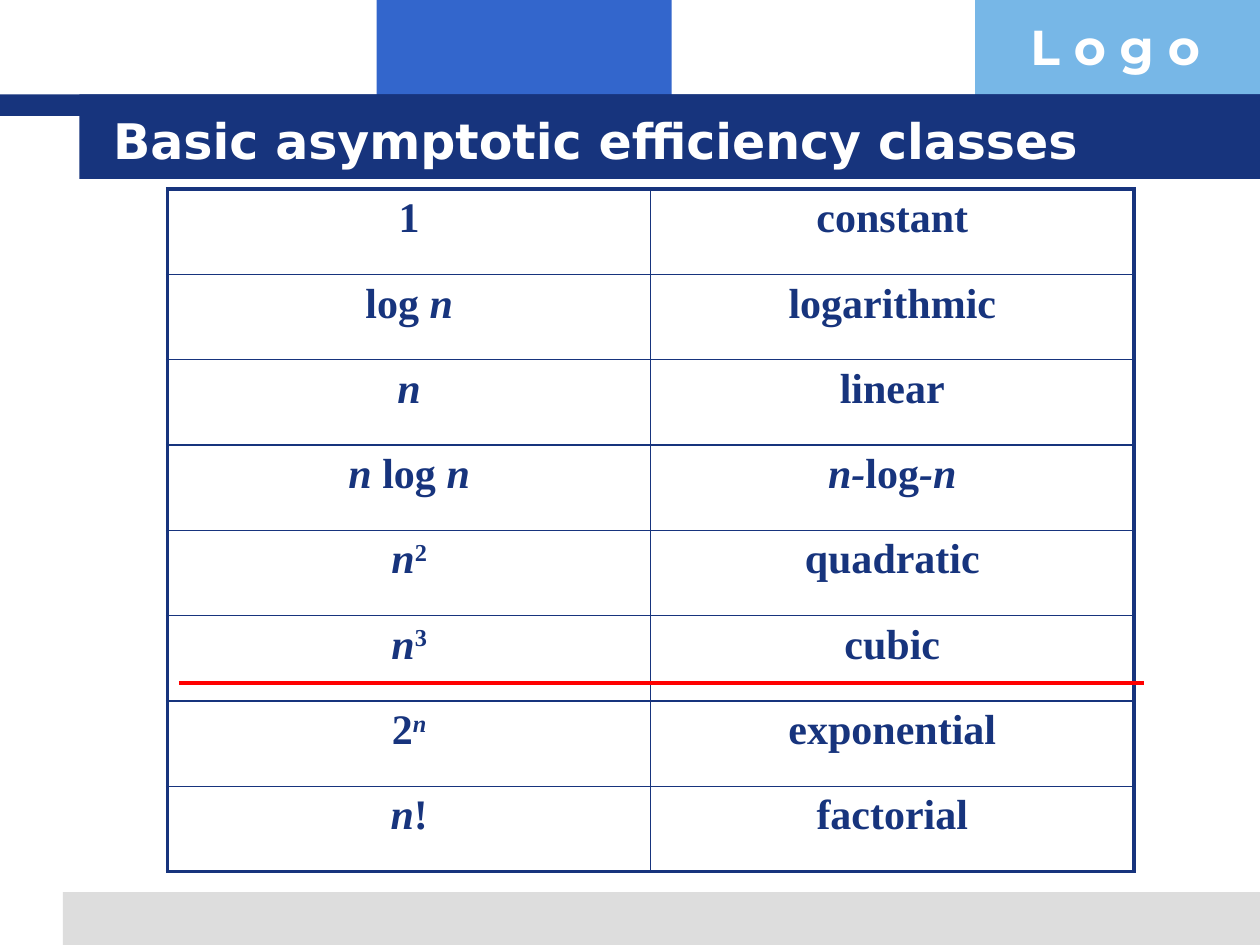
from lxml import etree
from pptx import Presentation
from pptx import util as u
from pptx.dml.color import RGBColor
from pptx.enum import shapes, text
from pptx.oxml.ns import qn

NAVY, BLUE, SKY = "17347D", "3366CC", "77B7E7"
GRAY, WHITE, RED = "DDDDDD", "FFFFFF", "FF0000"
THIN, THICK = 1, 2.25

CLASSES = [
    ([("1", "")], [("constant", "")]),
    ([("log ", ""), ("n", "italic")], [("logarithmic", "")]),
    ([("n", "italic")], [("linear", "")]),
    ([("n ", "italic"), ("log ", ""), ("n", "italic")],
     [("n-", "italic"), ("log", ""), ("-n", "italic")]),
    ([("n", "italic"), ("2", "super")], [("quadratic", "")]),
    ([("n", "italic"), ("3", "super")], [("cubic", "")]),
    ([("2", ""), ("n", "italic super")], [("exponential", "")]),
    ([("n", "italic"), ("!", "")], [("factorial", "")]),
]


def rgb(value):
    return RGBColor.from_string(value)


def style_font(font, name, size, color):
    font.name = name
    font.size = u.Pt(size)
    font.bold = True
    font.color.rgb = rgb(color)


def add_block(slide, box, color):
    shape = slide.shapes.add_shape(
        shapes.MSO_SHAPE.RECTANGLE, *map(u.Inches, box))
    shape.shadow.inherit = False
    shape.fill.solid()
    shape.fill.fore_color.rgb = rgb(color)
    shape.line.fill.background()


def add_label(slide, box, words, font_name, anchor):
    frame = slide.shapes.add_textbox(*map(u.Inches, box)).text_frame
    frame.word_wrap = True
    frame.vertical_anchor = anchor
    paragraph = frame.paragraphs[0]
    paragraph.text = words
    style_font(paragraph.font, font_name, 28, WHITE)


def add_header(slide, left, top, width, height):
    right = left + width
    band_top = top + 0.75
    add_block(slide, (left + 2.99, top, 2.34, 0.92), BLUE)
    add_block(slide, (right - 2.26, top, 2.26, 0.92), SKY)
    add_block(slide, (left, band_top, width, 0.17), NAVY)
    add_block(slide, (left + 0.63, band_top, width - 0.63, height - 0.75), NAVY)
    add_label(slide, (right - 1.92, top + 0.08, 1.92, 0.57), "L o g o",
              "Montserrat", text.MSO_ANCHOR.TOP)
    add_label(slide, (left + 0.8, top + 0.8, 8.53, height - 0.8),
              "Basic asymptotic efficiency classes",
              "DejaVu Sans", text.MSO_ANCHOR.MIDDLE)


def set_borders(cell, widths):
    properties = cell._tc.get_or_add_tcPr()
    for side, width in zip("LRTB", widths):
        line = etree.SubElement(properties, qn(f"a:ln{side}"), w=str(u.Pt(width)))
        fill = etree.SubElement(line, qn("a:solidFill"))
        etree.SubElement(fill, qn("a:srgbClr"), val=NAVY)


def fill_cell(cell, runs):
    cell.fill.background()
    paragraph = cell.text_frame.paragraphs[0]
    paragraph.alignment = text.PP_ALIGN.CENTER
    style_font(paragraph.font, "Times New Roman", 24, NAVY)
    for words, style in runs:
        run = paragraph.add_run()
        run.text = words
        style_font(run.font, "Times New Roman", 24, NAVY)
        if "italic" in style:
            run.font.italic = True
        if "super" in style:
            run.font._element.set("baseline", "30000")


def add_class_table(slide, left, top, width, height):
    last_row, last_column = len(CLASSES) - 1, len(CLASSES[0]) - 1
    table = slide.shapes.add_table(
        last_row + 1, last_column + 1,
        *map(u.Inches, (left, top, width, height))).table
    table.first_row = False
    table.horz_banding = False
    for i, row in enumerate(CLASSES):
        for j, runs in enumerate(row):
            cell = table.cell(i, j)
            edges = (j == 0, j == last_column, i == 0, i == last_row)
            set_borders(cell, [THICK if edge else THIN for edge in edges])
            fill_cell(cell, runs)


def add_divider(slide, left, top, width):
    line = slide.shapes.add_connector(
        shapes.MSO_CONNECTOR.STRAIGHT,
        *map(u.Inches, (left, top, left + width, top)))
    line.line.color.rgb = rgb(RED)
    line.line.width = u.Pt(THICK)
    etree.SubElement(line._element.spPr, qn("a:effectLst"))


def main():
    presentation = Presentation()
    presentation.slide_width = u.Inches(10)
    presentation.slide_height = u.Inches(7.5)
    slide = presentation.slides.add_slide(presentation.slide_layouts[6])
    add_header(slide, 0, 0, 10, 1.42)
    add_block(slide, (0.5, 7.08, 9.5, 0.42), GRAY)
    add_class_table(slide, 1.33, 1.5, 7.67, 5.42)
    add_divider(slide, 1.42, 5.42, 7.66)
    presentation.save("out.pptx")


if __name__ == "__main__":
    main()
